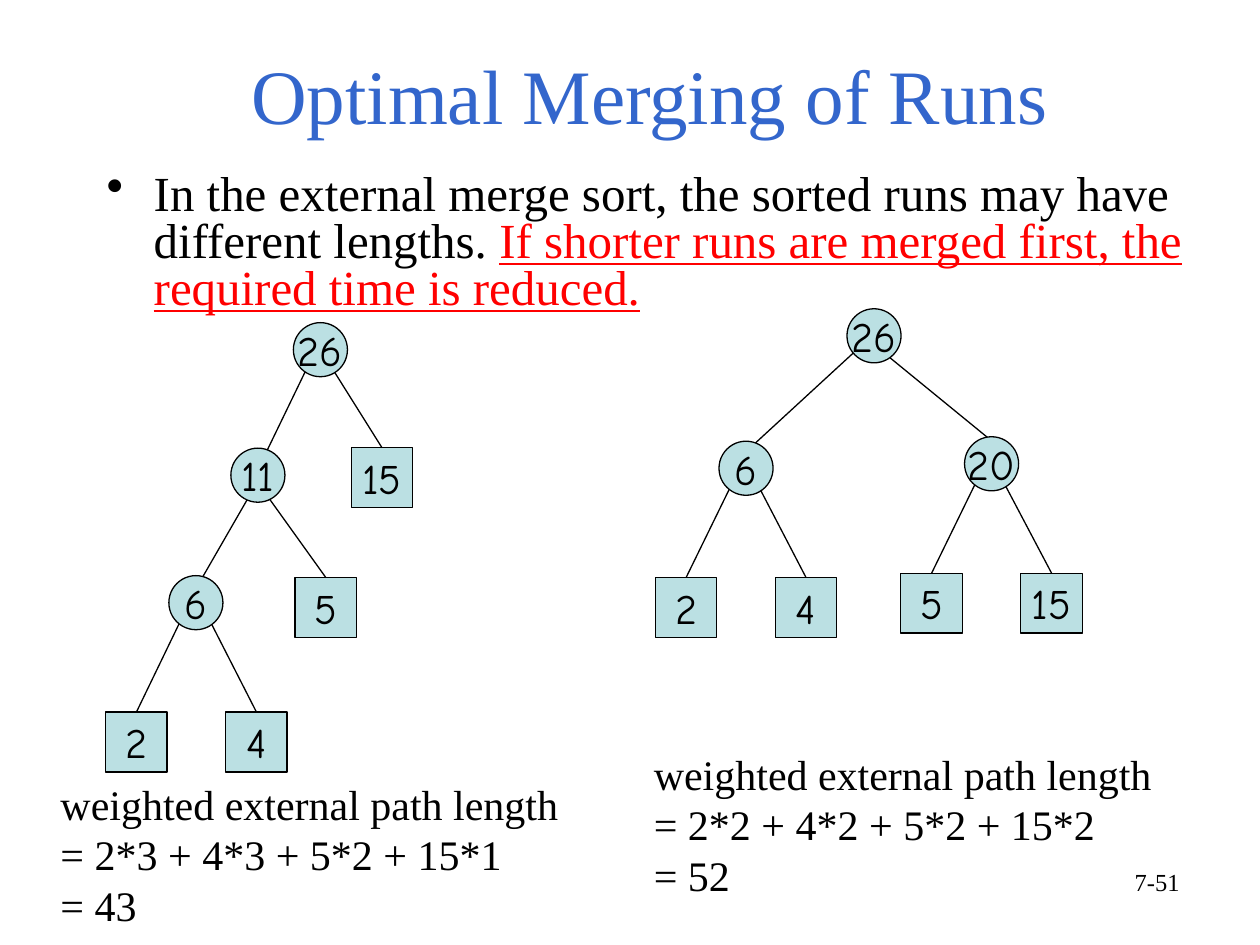
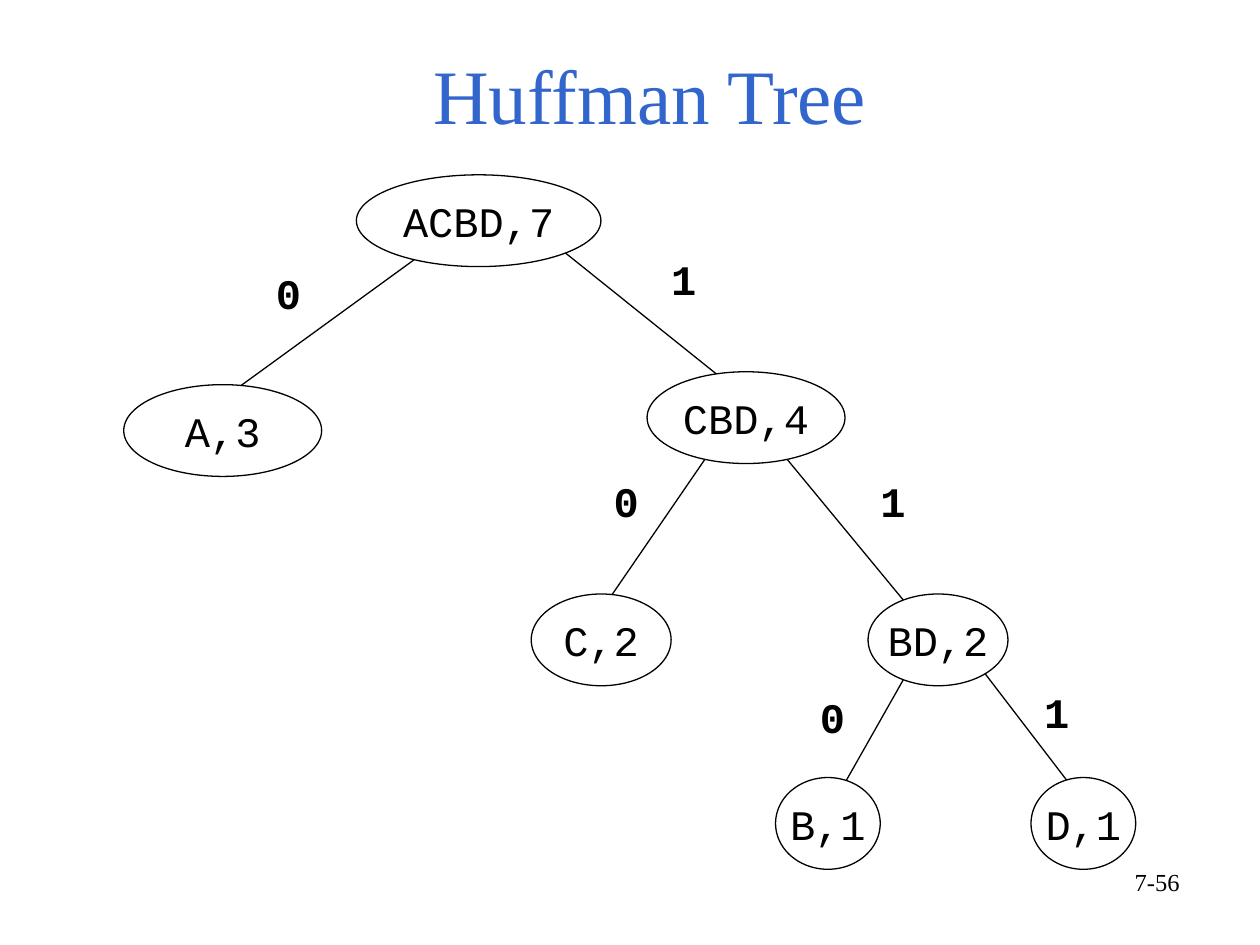
from math import sqrt

from lxml import etree
from pptx import Presentation
from pptx.dml.color import RGBColor
from pptx.enum import shapes, text
from pptx.oxml.ns import qn
from pptx.util import Cm, Pt

BLACK = RGBColor(0x00, 0x00, 0x00)
RED = RGBColor(0xFF, 0x00, 0x00)
TITLE_BLUE = RGBColor(0x33, 0x66, 0xCC)
NODE_BLUE = RGBColor(0xBB, 0xE0, 0xE3)
SERIF, HAND, MONO = "Times New Roman", "Comic Neue", "Courier New"

CIRCLE = (1.09, 1.09)
SQUARE = (1.24, 1.21)
OVAL_HEIGHT = 1.85

MERGING_TITLE = "Optimal Merging of Runs"
MERGING_POINT = [
    ("In the external merge sort, the sorted runs may have different lengths. ", BLACK, False),
    ("If shorter runs are merged first, the required time is reduced.", RED, True),
]

# Nodes: label -> centre. Edges: parent, child, start and end offset from the centres.
MERGE_TREES = [
    {
        "nodes": {"26": (6.46, 7.05), "11": (5.2, 9.58), "6": (3.95, 12.15),
                  "2": (2.75, 14.96), "4": (5.17, 14.96), "5": (6.57, 12.25),
                  "15": (7.7, 9.63)},
        "edges": [("26", "11", -0.31, 0.19), ("26", "15", 0.29, 0),
                  ("11", "6", -0.22, 0.14), ("11", "5", 0.24, 0),
                  ("6", "2", -0.34, 0), ("6", "4", 0.32, 0)],
        "cost": "weighted external path length\v= 2*3 + 4*3 + 5*2 + 15*1\v= 43",
        "cost_at": (0.97, 15.57, 10.54, 3.3),
    },
    {
        "nodes": {"26": (17.62, 6.77), "6": (15.04, 9.44), "20": (19.99, 9.35),
                  "2": (13.83, 12.25), "4": (16.25, 12.25),
                  "5": (18.78, 12.16), "15": (21.2, 12.16)},
        "edges": [("26", "6", -0.42, 0.19), ("26", "20", 0.32, -0.09),
                  ("6", "2", -0.34, 0), ("6", "4", 0.3, 0),
                  ("20", "5", -0.34, 0), ("20", "15", 0.29, 0)],
        "cost": "weighted external path length\v= 2*2 + 4*2 + 5*2 + 15*2\v= 52",
        "cost_at": (12.93, 14.96, 11.4, 3.3),
    },
]

HUFFMAN_TITLE = "Huffman Tree"
# Label -> centre and width
HUFFMAN_NODES = {
    "ACBD,7": (9.65, 4.45, 4.93),
    "A,3": (4.49, 8.68, 3.99),
    "CBD,4": (15.04, 8.42, 3.99),
    "C,2": (12.12, 12.9, 2.82),
    "BD,2": (18.91, 12.9, 2.82),
    "B,1": (16.69, 16.6, 2.11),
    "D,1": (21.84, 16.6, 2.11),
}
HUFFMAN_EDGES = [
    ("ACBD,7", "A,3", -1.3, 0.37), ("ACBD,7", "CBD,4", 1.75, -0.6),
    ("CBD,4", "C,2", -0.83, 0.22), ("CBD,4", "BD,2", 0.83, -0.7),
    ("BD,2", "B,1", -0.7, 0.37), ("BD,2", "D,1", 0.95, -0.34),
]
HUFFMAN_BITS = [
    ("0", 5.31, 5.26), ("1", 13.28, 4.98), ("0", 12.12, 9.47),
    ("1", 17.5, 9.47), ("0", 16.28, 13.82), ("1", 20.8, 13.72),
]


def style(para, font, size, color=BLACK, bold=False):
    for span in para.runs:
        span.font.name = font
        span.font.size = Pt(size)
        span.font.color.rgb = color
        span.font.bold = bold


def add_page(deck, title, number):
    page = deck.slides.add_slide(deck.slide_layouts[5])
    box = page.shapes.title
    box.left, box.top, box.width, box.height = Cm(1.9), Cm(0.69), Cm(22.4), Cm(2.18)
    frame = box.text_frame
    frame.text = title
    frame.auto_size = text.MSO_AUTO_SIZE.NONE
    frame.vertical_anchor = text.MSO_ANCHOR.BOTTOM
    frame.margin_bottom = Cm(0.05)
    frame.paragraphs[0].alignment = text.PP_ALIGN.CENTER
    style(frame.paragraphs[0], SERIF, 44, TITLE_BLUE)
    add_text(page, number, (18.11, 17.35, 5.92, 1.32), SERIF, 14, align=text.PP_ALIGN.RIGHT)
    return page


def add_text(page, words, place, font, size, bold=False, wrap=True, align=text.PP_ALIGN.LEFT):
    box = page.shapes.add_textbox(*map(Cm, place))
    box.text_frame.word_wrap = wrap
    para = box.text_frame.paragraphs[0]
    para.text = words
    para.alignment = align
    style(para, font, size, bold=bold)


def add_bullet(page, spans, place):
    box = page.shapes.add_textbox(*map(Cm, place))
    box.text_frame.word_wrap = True
    para = box.text_frame.paragraphs[0]
    props = para._p.get_or_add_pPr()
    props.set("marL", str(Cm(0.95)))
    props.set("indent", str(-Cm(0.95)))
    etree.SubElement(props, qn("a:buChar")).set("char", "•")
    para.line_spacing = 0.8
    for words, color, underlined in spans:
        span = para.add_run()
        span.text = words
        span.font.name, span.font.size = SERIF, Pt(28)
        span.font.color.rgb = color
        span.font.underline = underlined


def add_node(page, kind, label, centre, size, font, fill=None):
    x, y = centre
    width, height = size
    node = page.shapes.add_shape(kind, Cm(x - width / 2), Cm(y - height / 2),
                                 Cm(width), Cm(height))
    node.shadow.inherit = False
    if fill is None:
        node.fill.background()
    else:
        node.fill.solid()
        node.fill.fore_color.rgb = fill
    node.line.color.rgb = BLACK
    node.line.width = Pt(0.75)
    frame = node.text_frame
    frame.word_wrap = False
    frame.vertical_anchor = text.MSO_ANCHOR.MIDDLE
    frame.text = label
    frame.paragraphs[0].alignment = text.PP_ALIGN.CENTER
    style(frame.paragraphs[0], font, 24)
    return node


def outline_point(node, offset, side):
    """Point on an oval, offset from its centre; side is 1 below and -1 above."""
    across, down = node.width / 2, node.height / 2
    rise = down * sqrt(1 - (Cm(offset) / across) ** 2)
    return int(node.left + across + Cm(offset)), int(node.top + down + side * rise)


def add_edges(page, nodes, edges):
    for parent, child, start, end in edges:
        target = nodes[child]
        line = page.shapes.add_connector(shapes.MSO_CONNECTOR.STRAIGHT,
                                         *outline_point(nodes[parent], start, 1),
                                         *outline_point(target, end, -1))
        if target.auto_shape_type == shapes.MSO_SHAPE.RECTANGLE:
            line.end_connect(target, 0)
        line.line.color.rgb = BLACK
        line.line.width = Pt(0.75)
        etree.SubElement(line._element.spPr, qn("a:effectLst"))


def add_merge_tree(page, tree):
    parents = {edge[0] for edge in tree["edges"]}
    nodes = {}
    for label, centre in tree["nodes"].items():
        if label in parents:
            kind, size = shapes.MSO_SHAPE.OVAL, CIRCLE
        else:
            kind, size = shapes.MSO_SHAPE.RECTANGLE, SQUARE
        nodes[label] = add_node(page, kind, label, centre, size, HAND, NODE_BLUE)
    add_edges(page, nodes, tree["edges"])
    add_text(page, tree["cost"], tree["cost_at"], SERIF, 24)


def add_huffman_tree(page):
    nodes = {label: add_node(page, shapes.MSO_SHAPE.OVAL, label, (x, y),
                             (width, OVAL_HEIGHT), MONO)
             for label, (x, y, width) in HUFFMAN_NODES.items()}
    add_edges(page, nodes, HUFFMAN_EDGES)
    for bit, left, top in HUFFMAN_BITS:
        add_text(page, bit, (left, top, 1.02, 1.27), MONO, 24, bold=True, wrap=False)


def main():
    deck = Presentation()
    deck.slide_width, deck.slide_height = Cm(25.4), Cm(19.05)

    merging = add_page(deck, MERGING_TITLE, "7-51")
    add_bullet(merging, MERGING_POINT, (1.9, 3.38, 22.45, 3.28))
    for tree in MERGE_TREES:
        add_merge_tree(merging, tree)

    add_huffman_tree(add_page(deck, HUFFMAN_TITLE, "7-56"))
    deck.save("out.pptx")


if __name__ == "__main__":
    main()
